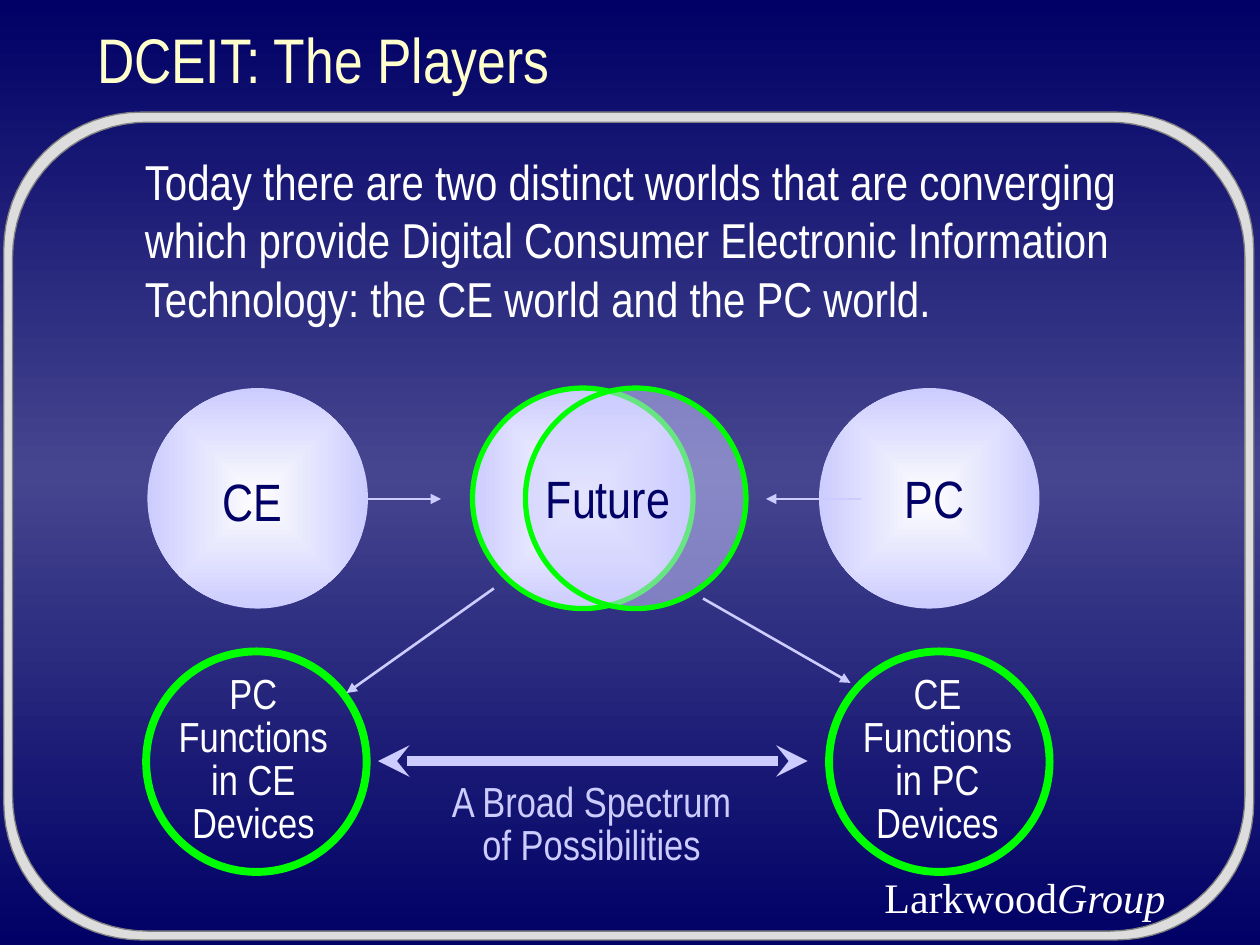
from math import cos, radians, sin

from lxml import etree
from pptx import Presentation
from pptx.dml.color import RGBColor
from pptx.enum.shapes import MSO_CONNECTOR, MSO_SHAPE
from pptx.enum.text import MSO_ANCHOR, MSO_AUTO_SIZE, PP_ALIGN
from pptx.oxml.ns import qn
from pptx.util import Inches, Pt

LEFT, CENTER = PP_ALIGN.LEFT, PP_ALIGN.CENTER
OVAL, STRAIGHT = MSO_SHAPE.OVAL, MSO_CONNECTOR.STRAIGHT
MIDDLE = MSO_ANCHOR.MIDDLE
NO_AUTOSIZE, GROW = MSO_AUTO_SIZE.NONE, MSO_AUTO_SIZE.SHAPE_TO_FIT_TEXT

NAVY = RGBColor(0x00, 0x00, 0x66)
SLATE = RGBColor(0x45, 0x45, 0x8F)
LAVENDER = RGBColor(0xCC, 0xCC, 0xFF)
PALE = RGBColor(0xFE, 0xFE, 0xFE)
GREEN = RGBColor(0x00, 0xFF, 0x00)
CREAM = RGBColor(0xFF, 0xFF, 0xCC)
WHITE = RGBColor(0xFF, 0xFF, 0xFF)
SILVER = RGBColor(0xDD, 0xDD, 0xDD)
GRAY = RGBColor(0x80, 0x80, 0x80)

SANS, SERIF = "Arial Narrow", "Times New Roman"


def set_gradient(fill, element, stops, from_center=False):
    fill.gradient()
    gradient = element.find(".//" + qn("a:gradFill"))
    for child in list(gradient):
        gradient.remove(child)
    stop_list = etree.SubElement(gradient, qn("a:gsLst"))
    for position, color in stops:
        stop = etree.SubElement(stop_list, qn("a:gs"), pos=str(position * 1000))
        etree.SubElement(stop, qn("a:srgbClr"), val=str(color))
    if from_center:
        shade = etree.SubElement(gradient, qn("a:path"), path="rect")
        etree.SubElement(shade, qn("a:fillToRect"), l="50000", t="50000", r="50000", b="50000")
    else:
        etree.SubElement(gradient, qn("a:lin"), ang="5400000", scaled="0")


def add_text(box, text, size, color, align=CENTER, spacing=None, wrap=False):
    x, y, width, height = box
    frame = slide.shapes.add_textbox(Inches(x), Inches(y), Inches(width), Inches(height)).text_frame
    frame_format = {
        "word_wrap": wrap,
        "auto_size": NO_AUTOSIZE if wrap else GROW,
        "margin_left": Inches(0.05),
        "margin_right": Inches(0.05),
    }
    for name, value in frame_format.items():
        setattr(frame, name, value)
    paragraph = frame.paragraphs[0]
    paragraph.text = text
    paragraph.alignment = align
    paragraph.line_spacing = spacing
    for name, value in {"size": Pt(size), "name": SANS}.items():
        setattr(paragraph.font, name, value)
    paragraph.font.color.rgb = color
    return paragraph


prs = Presentation()
prs.slide_width, prs.slide_height = Inches(10), Inches(7.5)
slide = prs.slides.add_slide(prs.slide_layouts[5])
set_gradient(slide.background.fill, slide.element, [(0, NAVY), (50, SLATE), (100, NAVY)])

contours = []
for left, top, right, bottom, radius in [(0.03, 0.89, 9.95, 7.46, 1.09), (0.1, 0.97, 9.88, 7.39, 1.07)]:
    corners = [
        (right - radius, top + radius, 270),
        (right - radius, bottom - radius, 0),
        (left + radius, bottom - radius, 90),
        (left + radius, top + radius, 180),
    ]
    contours.append([
        (Inches(x + radius * cos(radians(start + step))), Inches(y + radius * sin(radians(start + step))))
        for x, y, start in corners
        for step in range(0, 91, 5)
    ])
outer, inner = contours[0], contours[1][::-1]
builder = slide.shapes.build_freeform(*outer[0])
builder.add_line_segments(outer[1:], close=True)
builder.move_to(*inner[0])
builder.add_line_segments(inner[1:], close=True)
border = builder.convert_to_shape()
border.shadow.inherit = False
border.fill.solid()
border.fill.fore_color.rgb = SILVER
border.line.color.rgb = GRAY
border.line.width = Pt(0.75)

title = slide.shapes.title
title_place = {"left": Inches(0.67), "top": Inches(0), "width": Inches(8.75), "height": Inches(0.92)}
for name, value in title_place.items():
    setattr(title, name, value)
title.text_frame.text = "DCEIT: The Players"
title.text_frame.vertical_anchor = MIDDLE
title.text_frame.auto_size = NO_AUTOSIZE
heading = title.text_frame.paragraphs[0]
heading.alignment = LEFT
for name, value in {"size": Pt(36), "name": SANS}.items():
    setattr(heading.font, name, value)
heading.font.color.rgb = CREAM

add_text(
    (1.1, 1.15, 8.02, 1.6),
    "Today there are two distinct worlds that are converging which provide "
    "Digital Consumer Electronic Information Technology: the CE world and the PC world.",
    28, WHITE, LEFT, wrap=True,
)

DIAMETER = Inches(1.75)
circles = [
    (1.17, 3.08, "glow", None),
    (6.5, 3.08, "glow", None),
    (3.75, 3.08, "glow", 3),
    (4.17, 3.08, "glass", 3),
    (1.16, 5.17, "hollow", 4.5),
    (6.58, 5.17, "hollow", 4.5),
]
for x, y, style, outline in circles:
    circle = slide.shapes.add_shape(OVAL, Inches(x), Inches(y), DIAMETER, DIAMETER)
    circle.shadow.inherit = False
    if style == "glow":
        set_gradient(circle.fill, circle.element, [(0, PALE), (100, LAVENDER)], from_center=True)
    elif style == "glass":
        circle.fill.solid()
        circle.fill.fore_color.rgb = LAVENDER
        tint = circle.element.spPr.find(".//" + qn("a:srgbClr"))
        etree.SubElement(tint, qn("a:alpha"), val="50000")
    else:
        circle.fill.background()
    if outline:
        circle.line.color.rgb = GREEN
        circle.line.width = Pt(outline)
    else:
        circle.line.fill.background()

arrows = [
    (3, 6.04, 6.41, 6.04, 6, {"headEnd": "stealth", "tailEnd": "stealth"}),
    (2.83, 3.96, 3.5, 3.96, 1.5, {"tailEnd": "triangle"}),
    (6.83, 3.96, 6.08, 3.96, 1.5, {"tailEnd": "triangle"}),
    (3.92, 4.67, 2.75, 5.5, 1.5, {"tailEnd": "triangle"}),
    (5.58, 4.75, 6.75, 5.42, 1.5, {"tailEnd": "triangle"}),
]
for x1, y1, x2, y2, weight, ends in arrows:
    arrow = slide.shapes.add_connector(STRAIGHT, Inches(x1), Inches(y1), Inches(x2), Inches(y2))
    arrow.line.color.rgb = LAVENDER
    arrow.line.width = Pt(weight)
    outline = arrow.element.spPr.find(qn("a:ln"))
    for end, kind in ends.items():
        etree.SubElement(outline, qn("a:" + end), type=kind)
    etree.SubElement(arrow.element.spPr, qn("a:effectLst"))

labels = [
    ((1.67, 3.67, 0.67, 0.6), "CE", 30, NAVY, None),
    ((4.23, 3.65, 1.19, 0.6), "Future", 30, NAVY, None),
    ((7.08, 3.65, 0.67, 0.6), "PC", 30, NAVY, None),
    ((1.32, 5.31, 1.38, 1.46), "PC\nFunctions\nin CE\nDevices", 24, WHITE, 0.85),
    ((6.75, 5.31, 1.38, 1.46), "CE\nFunctions\nin PC\nDevices", 24, WHITE, 0.85),
    ((3.48, 6.17, 2.43, 0.78), "A Broad Spectrum\nof Possibilities", 24, LAVENDER, 0.85),
]
for box, text, size, color, spacing in labels:
    add_text(box, text, size, color, spacing=spacing)

signature = add_text((6.97, 6.87, 2.36, 0.5), "Larkwood", 24, WHITE, LEFT)
group_word = signature.add_run()
group_word.text = "Group"
group_word.font.italic = True
for run in signature.runs:
    run.font.name = SERIF
    run.font.size = Pt(24)
    run.font.color.rgb = WHITE

prs.save("out.pptx")
